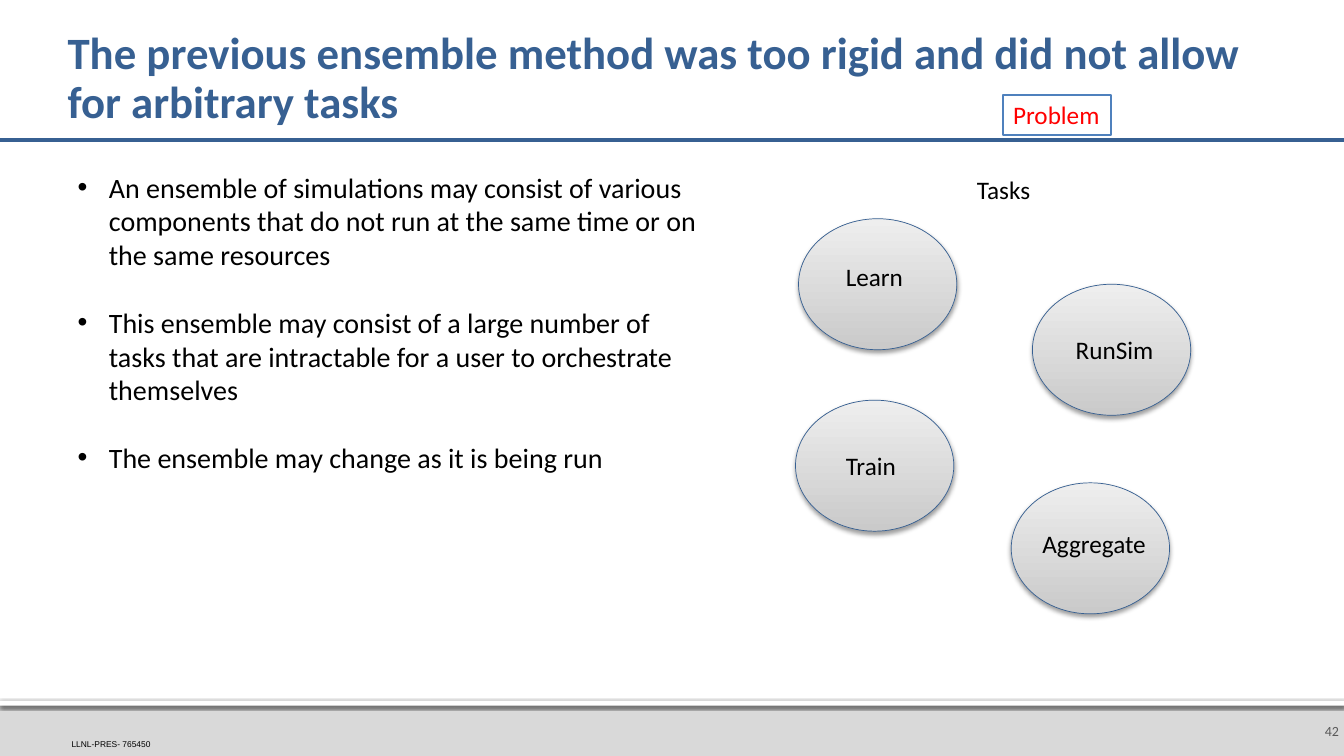
"""Build the slide on why the previous ensemble method was too rigid."""
from lxml import etree
from pptx import Presentation
from pptx.dml.color import RGBColor
from pptx.enum import shapes as kinds, text as txt
from pptx.oxml.ns import qn
from pptx.util import Inches, Pt

TITLE = "The previous ensemble method was too rigid and did not allow for arbitrary tasks"
POINTS = [
    "An ensemble of simulations may consist of various components that do not run "
    "at the same time or on the same resources",
    "This ensemble may consist of a large number of tasks that are intractable "
    "for a user to orchestrate themselves",
    "The ensemble may change as it is being run",
]
TASKS = [
    ("Learn", (7.92, 2.17), (8.29, 2.54, 0.99, 0.4)),
    ("RunSim", (10.24, 2.82), (10.57, 3.27, 0.99, 0.4)),
    ("Train", (7.89, 3.97), (8.29, 4.42, 0.99, 0.4)),
    ("Aggregate", (10.03, 4.79), (10.24, 5.19, 1.28, 0.4)),
]
OVAL = (1.57, 1.3)
WIDE, HIGH, FOOT = 13.33, 7.5, 6.95
THEME = {
    "font": "Calibri", "small": "Arial",
    "blue": "376092", "frame": "4F81BD", "red": "FF0000", "ink": "000000",
    "gray": "595959", "band": "D9D9D9", "white": "FFFFFF",
    "dark": "CACACA", "light": "EEEEEE",
    "head": 32, "body": 20, "label": 18, "page": 10, "note": 6,
}


def color(name):
    return RGBColor.from_string(THEME[name])


def place(shape, box):
    shape.left, shape.top, shape.width, shape.height = map(Inches, box)


def style(para, size, ink="ink", font="font", bold=False):
    for run in para.runs:
        face = run.font
        face.name, face.size, face.bold = THEME[font], Pt(THEME[size]), bold
        face.color.rgb = color(ink)


def inset(frame, left, top, right, bottom):
    frame.margin_left, frame.margin_top = Inches(left), Inches(top)
    frame.margin_right, frame.margin_bottom = Inches(right), Inches(bottom)


def label(slide, words, box, size="label", ink="ink", font="font", wrap=True):
    shape = slide.shapes.add_textbox(*map(Inches, box))
    shape.text_frame.text = words
    shape.text_frame.word_wrap = wrap
    style(shape.text_frame.paragraphs[0], size, ink, font)
    return shape


def shade(shape, alpha, blur, dist):
    shape.shadow.inherit = False
    effects = shape._element.spPr.find(qn("a:effectLst"))
    outer = etree.SubElement(effects, qn("a:outerShdw"), blurRad=str(Pt(blur)),
                             dist=str(Pt(dist)), dir="5400000", rotWithShape="0")
    tint = etree.SubElement(outer, qn("a:srgbClr"), val=THEME["ink"])
    etree.SubElement(tint, qn("a:alpha"), val=str(alpha * 1000))


def bar(slide, height, fill):
    shape = slide.shapes.add_shape(kinds.MSO_SHAPE.RECTANGLE, 0, Inches(FOOT),
                                   Inches(WIDE), Inches(height))
    shape.shadow.inherit = False
    shape.fill.solid()
    shape.fill.fore_color.rgb = color(fill)
    shape.line.fill.background()
    return shape


def furnish(slide):
    bar(slide, HIGH - FOOT, "band")
    shade(bar(slide, 0.05, "white"), 60, 2.5, 0.8)
    page = label(slide, "42", (12.87, 7, 0.46, 0.5), "page", "gray").text_frame
    inset(page, 0.1, 0.05, 0.05, 0.05)
    page.vertical_anchor = txt.MSO_ANCHOR.MIDDLE
    page.paragraphs[0].alignment = txt.PP_ALIGN.RIGHT
    note = label(slide, "LLNL-PRES- 765450", (0.71, 7.33, 1.27, 0.1),
                 "note", font="small").text_frame
    inset(note, 0, 0, 0, 0)
    note.vertical_anchor = txt.MSO_ANCHOR.BOTTOM
    rule = slide.shapes.add_connector(kinds.MSO_CONNECTOR.STRAIGHT, 0, Inches(1.39),
                                      Inches(WIDE), Inches(1.39))
    rule.line.color.rgb = color("blue")
    rule.line.width = Pt(3)
    etree.SubElement(rule._element.spPr, qn("a:effectLst"))


def write(slide):
    title, body = slide.shapes.title, slide.placeholders[1]
    place(title, (0.67, 0.24, 12, 1.1))
    frame = title.text_frame
    frame.text = TITLE
    frame.auto_size = txt.MSO_AUTO_SIZE.NONE
    frame.vertical_anchor = txt.MSO_ANCHOR.MIDDLE
    inset(frame, 0, 0.05, 0.05, 0.05)
    para = frame.paragraphs[0]
    para.alignment, para.line_spacing = txt.PP_ALIGN.LEFT, 0.9
    style(para, "head", "blue", bold=True)

    place(body, (0.67, 1.64, 6.42, 5.25))
    frame = body.text_frame
    frame.text = "\n".join(POINTS)
    frame.auto_size = txt.MSO_AUTO_SIZE.NONE
    for i, para in enumerate(frame.paragraphs):
        props = para._p.get_or_add_pPr()
        props.set("marL", str(Inches(0.31)))
        props.set("indent", str(-Inches(0.31)))
        para.space_before = Pt(24.4 if i else 0)
        etree.SubElement(props, qn("a:buFont"), typeface=THEME["small"])
        etree.SubElement(props, qn("a:buChar"), char="•")
        style(para, "body")


def draw(slide):
    tag = label(slide, "Problem", (9.95, 0.94, 1.07, 0.4), ink="red", wrap=False)
    tag.line.color.rgb = color("frame")
    tag.line.width = Pt(1.5)
    label(slide, "Tasks", (9.59, 1.68, 0.73, 0.4), wrap=False)
    for name, spot, box in TASKS:
        oval = slide.shapes.add_shape(kinds.MSO_SHAPE.OVAL, *map(Inches, spot + OVAL))
        oval.fill.gradient()
        oval.fill.gradient_angle = 90
        for stop, tone in zip(oval.fill.gradient_stops, ("dark", "light")):
            stop.color.rgb = color(tone)
        oval.line.color.rgb = color("blue")
        oval.line.width = Pt(0.5)
        shade(oval, 38, 3.5, 2)
        label(slide, name, box)


def main():
    deck = Presentation()
    deck.slide_width, deck.slide_height = Inches(WIDE), Inches(HIGH)
    slide = deck.slides.add_slide(deck.slide_layouts[1])
    furnish(slide)
    write(slide)
    draw(slide)
    deck.save("out.pptx")


if __name__ == "__main__":
    main()
